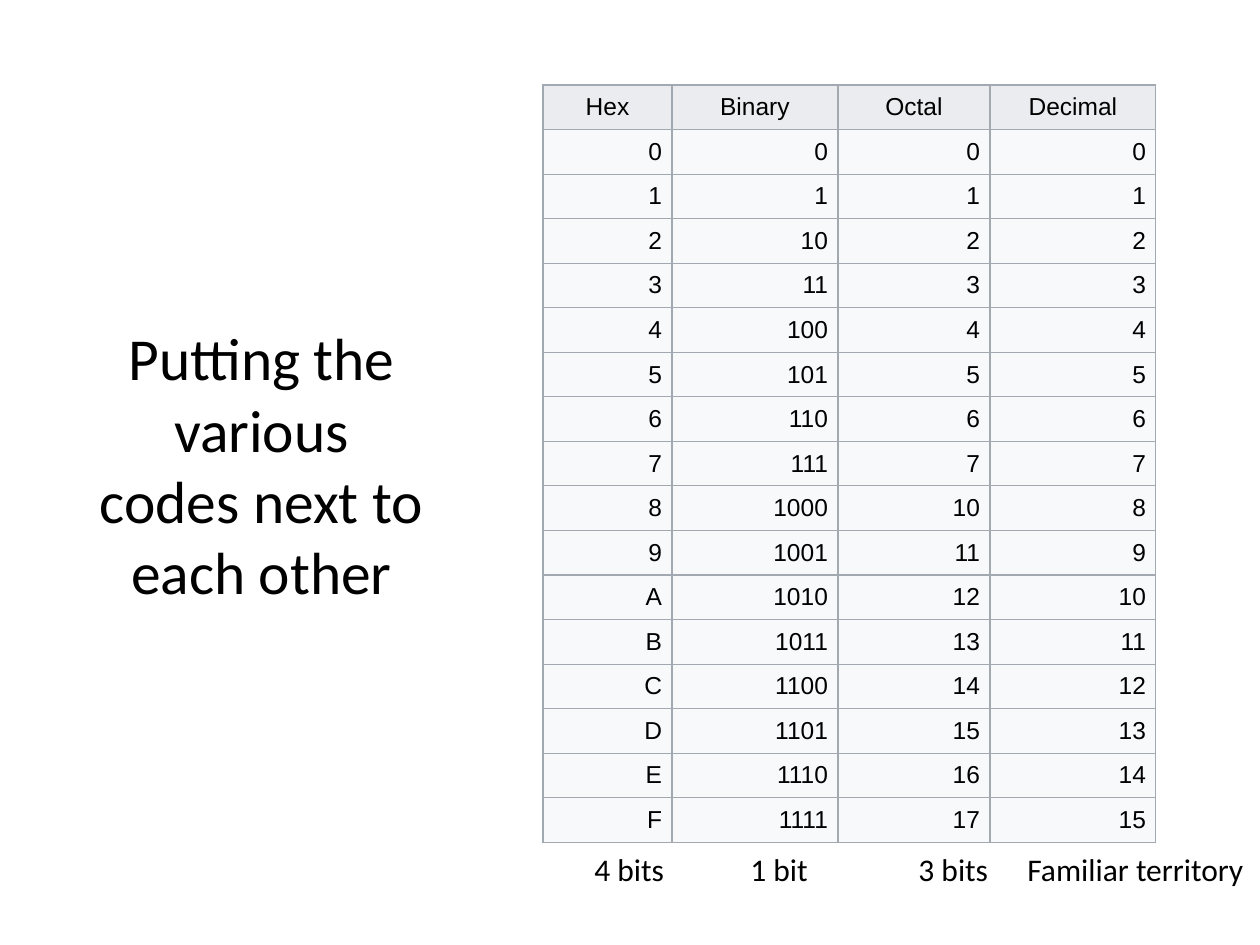
from lxml import etree
from pptx import Presentation
from pptx.dml.color import RGBColor
from pptx.enum.text import MSO_ANCHOR, MSO_AUTO_SIZE, PP_ALIGN
from pptx.oxml.ns import qn
from pptx.util import Emu, Pt

LEFT, CENTER, RIGHT = PP_ALIGN.LEFT, PP_ALIGN.CENTER, PP_ALIGN.RIGHT
MIDDLE = MSO_ANCHOR.MIDDLE
NO_FIT, GROW = MSO_AUTO_SIZE.NONE, MSO_AUTO_SIZE.SHAPE_TO_FIT_TEXT
PX_PER_INCH = 126
COLORS = {"text": "000000", "header": "EAECF0", "body": "F8F9FA", "border": "A2A9B1"}
HEADINGS = ("Hex", "Binary", "Octal", "Decimal")
COLUMN_WIDTHS = (129, 166, 152, 166)
CODE_COUNT = 16
CAPTIONS = (
    ("4 bits", 582, 96),
    ("1 bit", 738, 83),
    ("3 bits", 906, 96),
    ("Familiar territory", 1015, 243),
)


def px(length):
    """Turn slide pixels into EMU."""
    return Emu(round(length * 914400 / PX_PER_INCH))


def write_text(frame, text, font="Calibri", size=18, align=LEFT, color="text"):
    """Fill a text frame with one formatted paragraph."""
    paragraph = frame.paragraphs[0]
    paragraph.alignment = align
    run = paragraph.add_run()
    run.text = text
    run.font.name = font
    run.font.size = Pt(size)
    run.font.bold = False
    run.font.color.rgb = RGBColor.from_string(COLORS[color])


def add_borders(cell):
    """Draw a thin line on all four sides of a cell."""
    properties = cell._tc.get_or_add_tcPr()
    for side in ("a:lnL", "a:lnR", "a:lnT", "a:lnB"):
        line = etree.SubElement(properties, qn(side), w=str(Pt(0.75)))
        fill = etree.SubElement(line, qn("a:solidFill"))
        etree.SubElement(fill, qn("a:srgbClr"), val=COLORS["border"])


def format_cell(cell, text, fill, align):
    """Write and style one table cell."""
    cell.margin_left = cell.margin_right = px(10)
    cell.margin_top = cell.margin_bottom = px(5)
    cell.vertical_anchor = MIDDLE
    add_borders(cell)
    cell.fill.solid()
    cell.fill.fore_color.rgb = RGBColor.from_string(COLORS[fill])
    write_text(cell.text_frame, text, font="Arial", size=14, align=align)


def add_title(slide, text):
    """Place the slide title on the left."""
    title = slide.shapes.title
    title.left, title.top, title.width, title.height = map(px, (87, 85, 349, 758))
    frame = title.text_frame
    frame.word_wrap = True
    frame.auto_size = NO_FIT
    frame.vertical_anchor = MIDDLE
    write_text(frame, text, size=34, align=CENTER)


def add_code_table(slide):
    """Add the table of each number in four notations."""
    table = slide.shapes.add_table(
        CODE_COUNT + 1, len(HEADINGS), px(543), px(85), px(sum(COLUMN_WIDTHS)), px(758)
    ).table
    table.first_row = table.horz_banding = False
    for column, width in zip(table.columns, COLUMN_WIDTHS):
        column.width = px(width)
    for index, heading in enumerate(HEADINGS):
        format_cell(table.cell(0, index), heading, "header", CENTER)
    for number in range(CODE_COUNT):
        for index, notation in enumerate("Xbod"):
            format_cell(table.cell(number + 1, index), format(number, notation), "body", RIGHT)


def add_caption(slide, text, left, width):
    """Add a caption below a table column."""
    frame = slide.shapes.add_textbox(px(left), px(844), px(width), px(51)).text_frame
    frame.word_wrap = False
    frame.auto_size = GROW
    write_text(frame, text)


def main():
    """Build the slide and save it."""
    presentation = Presentation()
    presentation.slide_width, presentation.slide_height = px(1260), px(945)
    slide = presentation.slides.add_slide(presentation.slide_layouts[5])
    add_title(slide, "Putting the various codes next to each other")
    add_code_table(slide)
    for text, left, width in CAPTIONS:
        add_caption(slide, text, left, width)
    presentation.save("out.pptx")


if __name__ == "__main__":
    main()
